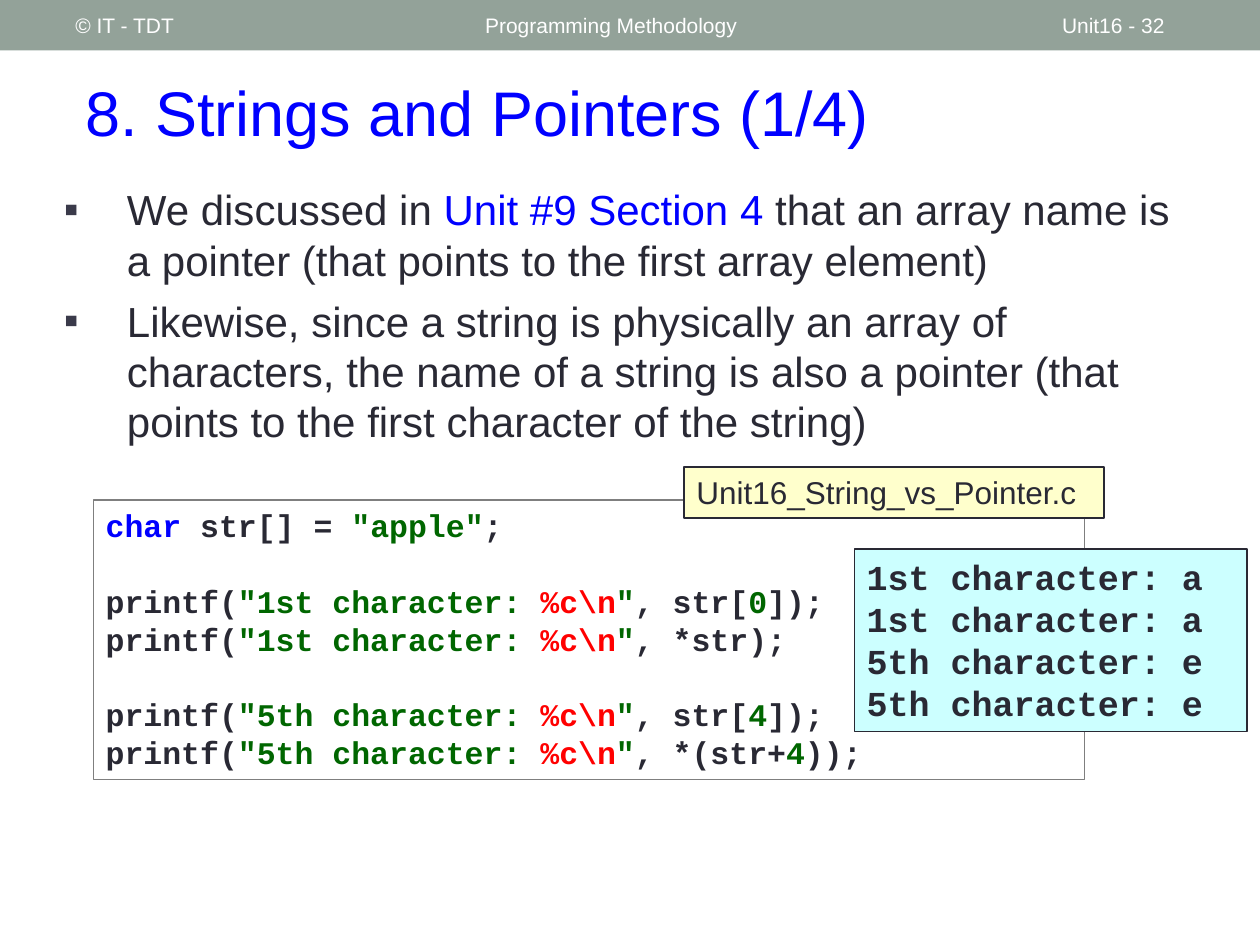
from dataclasses import dataclass

from lxml import etree
from pptx import Presentation
from pptx.dml.color import RGBColor
from pptx.enum.shapes import MSO_SHAPE
from pptx.enum.text import MSO_ANCHOR, PP_ALIGN
from pptx.oxml.ns import qn
from pptx.util import Cm, Pt

RECT = MSO_SHAPE.RECTANGLE
TOP, MIDDLE = MSO_ANCHOR.TOP, MSO_ANCHOR.MIDDLE
LEFT = PP_ALIGN.LEFT
SANS, MONO = "Arial", "Courier New"
INK, BLUE, GREEN, RED = "292934", "0000FF", "006600", "FF0000"
WHITE, SAGE, GRAY = "FFFFFF", "93A299", "7F7F7F"
CREAM, AQUA, SLATE = "FFFFCC", "CCFFFF", "3A3A4A"

Run = tuple[str, str]


@dataclass
class Line:
    runs: list[Run]
    gap: float = 0


@dataclass
class Box:
    left: float
    top: float
    width: float
    height: float
    lines: list[Line]
    size: float
    font: str = SANS
    bold: bool = False
    anchor: MSO_ANCHOR = TOP
    bullet: bool = False
    fill: str = ""
    edge: str = ""
    weight: float = 0.75


def color(code: str) -> RGBColor:
    return RGBColor.from_string(code)


def add_mark(para) -> None:
    props = para._p.get_or_add_pPr()
    props.set("marL", str(Cm(1.27)))
    props.set("indent", str(-Cm(1.27)))
    tint = etree.SubElement(props, qn("a:buClr"))
    etree.SubElement(tint, qn("a:srgbClr"), val=SLATE)
    etree.SubElement(props, qn("a:buFont"), typeface=SANS)
    etree.SubElement(props, qn("a:buChar"), char="▪")


def write(para, line: Line, box: Box) -> None:
    para.alignment = LEFT
    if box.bullet:
        add_mark(para)
    if line.gap:
        para.space_before = Pt(line.gap)
    for text, tint in line.runs:
        run = para.add_run()
        run.text = text
        run.font.name = box.font
        run.font.size = Pt(box.size)
        run.font.bold = box.bold
        run.font.color.rgb = color(tint)


def draw(slide, box: Box) -> None:
    place = [Cm(n) for n in (box.left, box.top, box.width, box.height)]
    if box.fill or box.edge:
        shape = slide.shapes.add_shape(RECT, *place)
        shape.shadow.inherit = False
        if box.fill:
            shape.fill.solid()
            shape.fill.fore_color.rgb = color(box.fill)
        else:
            shape.fill.background()
        if box.edge:
            shape.line.color.rgb = color(box.edge)
            shape.line.width = Pt(box.weight)
        else:
            shape.line.fill.background()
    else:
        shape = slide.shapes.add_textbox(*place)
    frame = shape.text_frame
    frame.word_wrap = True
    frame.vertical_anchor = box.anchor
    for num, line in enumerate(box.lines):
        para = frame.add_paragraph() if num else frame.paragraphs[0]
        write(para, line, box)


def header(left: float, width: float, text: str) -> Box:
    return Box(left, 0.05, width, 0.91, [Line([(text, WHITE)])], 12,
               anchor=MIDDLE)


def call(rank: str, tail: list[Run], gap: float = 0) -> Line:
    head = [("printf(", INK), (f'"{rank} character: ', GREEN),
            ("%c\\n", RED), ('"', GREEN)]
    return Line(head + tail, gap)


BREAK = 21.6
POINTS = [
    Line([("We discussed in ", INK), ("Unit #9 Section 4 ", BLUE),
          ("that an array name is a pointer "
           "(that points to the first array element)", INK)]),
    Line([("Likewise, since a string is physically an array of characters, "
           "the name of a string is also a pointer "
           "(that points to the first character of the string)", INK)], 6),
]
CODE = [
    Line([("char", BLUE), (" str[] = ", INK), ('"apple"', GREEN),
          (";", INK)]),
    call("1st", [(", str[", INK), ("0", GREEN), ("]);", INK)], BREAK),
    call("1st", [(", *str);", INK)]),
    call("5th", [(", str[", INK), ("4", GREEN), ("]);", INK)], BREAK),
    call("5th", [(", *(str+", INK), ("4", GREEN), ("));", INK)]),
]
RESULT = [Line([(f"{text}", INK)])
          for text in ("1st character: a", "5th character: e")
          for _ in range(2)]
BOXES = [
    Box(0, 0, 25.4, 1.02, [], 12, fill=SAGE),
    Box(1.47, 1.07, 23.29, 2.34,
        [Line([("8. Strings and Pointers (1/4)", BLUE)])], 36, anchor=MIDDLE),
    header(9.53, 11.43, "Programming Methodology"),
    header(21.16, 2.97, "Unit16 - 32"),
    header(1.27, 8.05, "© IT - TDT"),
    Box(1.04, 3.58, 23.47, 12.55, POINTS, 24, bullet=True),
    Box(1.88, 10.08, 19.99, 5.64, CODE, 18, MONO, True, edge=GRAY),
    Box(13.79, 9.42, 8.46, 1.02,
        [Line([("Unit16_String_vs_Pointer.c", INK)])], 18,
        fill=CREAM, edge=INK, weight=1),
    Box(17.22, 11.07, 7.92, 3.68, RESULT, 20, MONO, True,
        fill=AQUA, edge=INK),
]


def main() -> None:
    deck = Presentation()
    deck.slide_width, deck.slide_height = Cm(25.4), Cm(19.05)
    slide = deck.slides.add_slide(deck.slide_layouts[6])
    for box in BOXES:
        draw(slide, box)
    deck.save("out.pptx")


if __name__ == "__main__":
    main()
